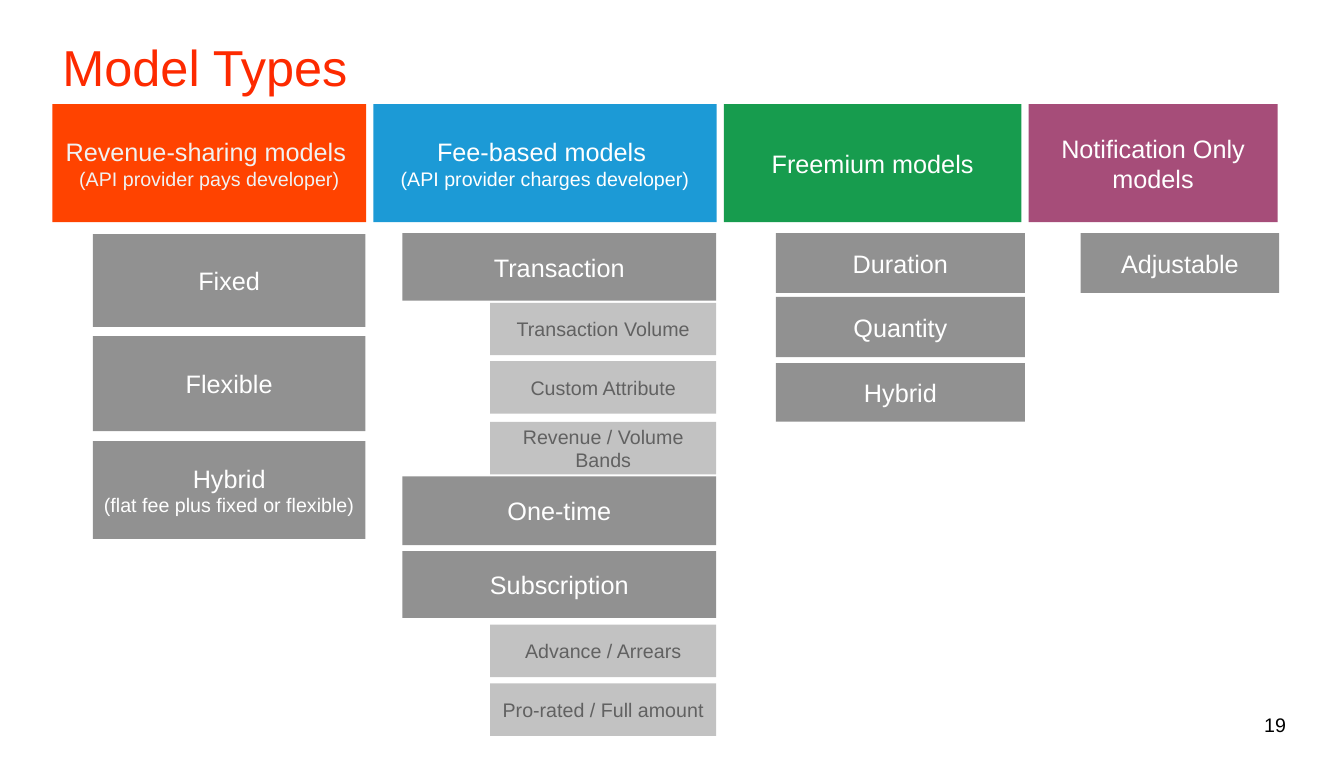
from pptx import Presentation
from pptx.dml.color import RGBColor
from pptx.enum.shapes import MSO_SHAPE
from pptx.enum.text import MSO_ANCHOR, MSO_AUTO_SIZE, PP_ALIGN
from pptx.util import Cm, Pt

RECTANGLE = MSO_SHAPE.RECTANGLE
MIDDLE = MSO_ANCHOR.MIDDLE
LEFT, CENTER = PP_ALIGN.LEFT, PP_ALIGN.CENTER
NO_AUTOFIT = MSO_AUTO_SIZE.NONE

FONT = "Arial"
TITLE = "Model Types"
PAGE_NUMBER = "19"
LARGE, SMALL = 18, 14
MODEL_STYLE = ("919191", "FFFFFF", LARGE)
OPTION_STYLE = ("C2C2C2", "616161", SMALL)

HEADER_LEFT, HEADER_TOP, HEADER_HEIGHT, HEADER_GAP = 1.32, 2.62, 2.97, 0.18
OPTION_WIDTH, OPTION_HEIGHT = 5.69, 1.32

COLUMNS = [
    {
        "header": ["Revenue-sharing models ", "(API provider pays developer)"],
        "fill": "FF4300", "color": "F1F2F2", "width": 7.9,
        "models_left": 2.34, "models_width": 6.86,
        "models": [
            (5.89, 2.34, ["Fixed"]),
            (8.46, 2.39, ["Flexible"]),
            (11.1, 2.46, ["Hybrid", "(flat fee plus fixed or flexible)"]),
        ],
        "options": [],
    },
    {
        "header": ["Fee-based models ", "(API provider charges developer)"],
        "fill": "1C9AD6", "color": "FFFFFF", "width": 8.64,
        "models_left": 10.13, "models_width": 7.9,
        "models": [
            (5.87, 1.7, ["Transaction"]),
            (11.99, 1.73, ["One-time"]),
            (13.87, 1.68, ["Subscription"]),
        ],
        "options": [
            (7.62, "Transaction Volume"),
            (9.09, "Custom Attribute"),
            (10.62, "Revenue / Volume Bands"),
            (15.72, "Advance / Arrears"),
            (17.2, "Pro-rated / Full amount"),
        ],
    },
    {
        "header": ["Freemium models"],
        "fill": "179C4E", "color": "FFFFFF", "width": 7.49,
        "models_left": 19.53, "models_width": 6.27,
        "models": [
            (5.87, 1.5, ["Duration"]),
            (7.47, 1.52, ["Quantity"]),
            (9.14, 1.47, ["Hybrid"]),
        ],
        "options": [],
    },
    {
        "header": ["Notification Only models"],
        "fill": "A64D79", "color": "FFFFFF", "width": 6.27,
        "models_left": 27.2, "models_width": 5.0,
        "models": [(5.87, 1.5, ["Adjustable"])],
        "options": [],
    },
]


def rgb(value):
    return RGBColor.from_string(value)


def write(shape, lines, color, size, align, margin=0.13):
    frame = shape.text_frame
    frame.word_wrap = True
    frame.auto_size = NO_AUTOFIT
    frame.vertical_anchor = MIDDLE
    frame.margin_left = frame.margin_right = Cm(0.25)
    frame.margin_top = frame.margin_bottom = Cm(margin)
    for index, line in enumerate(lines):
        paragraph = frame.add_paragraph() if index else frame.paragraphs[0]
        paragraph.text = line
        paragraph.alignment = align
        paragraph.line_spacing = 1.0
        paragraph.space_before = Pt(0)
        paragraph.font.name = FONT
        paragraph.font.size = Pt(SMALL if index else size)
        paragraph.font.color.rgb = rgb(color)


def add_box(slide, left, top, width, height, lines, style):
    fill, color, size = style
    shape = slide.shapes.add_shape(RECTANGLE, Cm(left), Cm(top), Cm(width), Cm(height))
    shape.shadow.inherit = False
    shape.fill.solid()
    shape.fill.fore_color.rgb = rgb(fill)
    shape.line.fill.background()
    write(shape, lines, color, size, CENTER)


def add_column(slide, left, column):
    add_box(slide, left, HEADER_TOP, column["width"], HEADER_HEIGHT,
            column["header"], (column["fill"], column["color"], LARGE))
    models_left, models_width = column["models_left"], column["models_width"]
    for top, height, lines in column["models"]:
        add_box(slide, models_left, top, models_width, height, lines, MODEL_STYLE)
    option_left = models_left + models_width - OPTION_WIDTH
    for top, text in column["options"]:
        add_box(slide, option_left, top, OPTION_WIDTH, OPTION_HEIGHT, [text], OPTION_STYLE)


def main():
    presentation = Presentation()
    presentation.slide_width, presentation.slide_height = Cm(33.83), Cm(19.05)
    slide = presentation.slides.add_slide(presentation.slide_layouts[5])

    title = slide.shapes.title
    title.left, title.top, title.width, title.height = Cm(1.32), Cm(0.74), Cm(28.85), Cm(1.88)
    write(title, [TITLE], "FD2A00", 36, LEFT, margin=0.25)

    left = HEADER_LEFT
    for column in COLUMNS:
        add_column(slide, left, column)
        left += column["width"] + HEADER_GAP

    page_number = slide.shapes.add_textbox(Cm(31.57), Cm(17.73), Cm(1.7), Cm(1.02))
    write(page_number, [PAGE_NUMBER], "000000", SMALL, LEFT)

    presentation.save("out.pptx")


if __name__ == "__main__":
    main()
